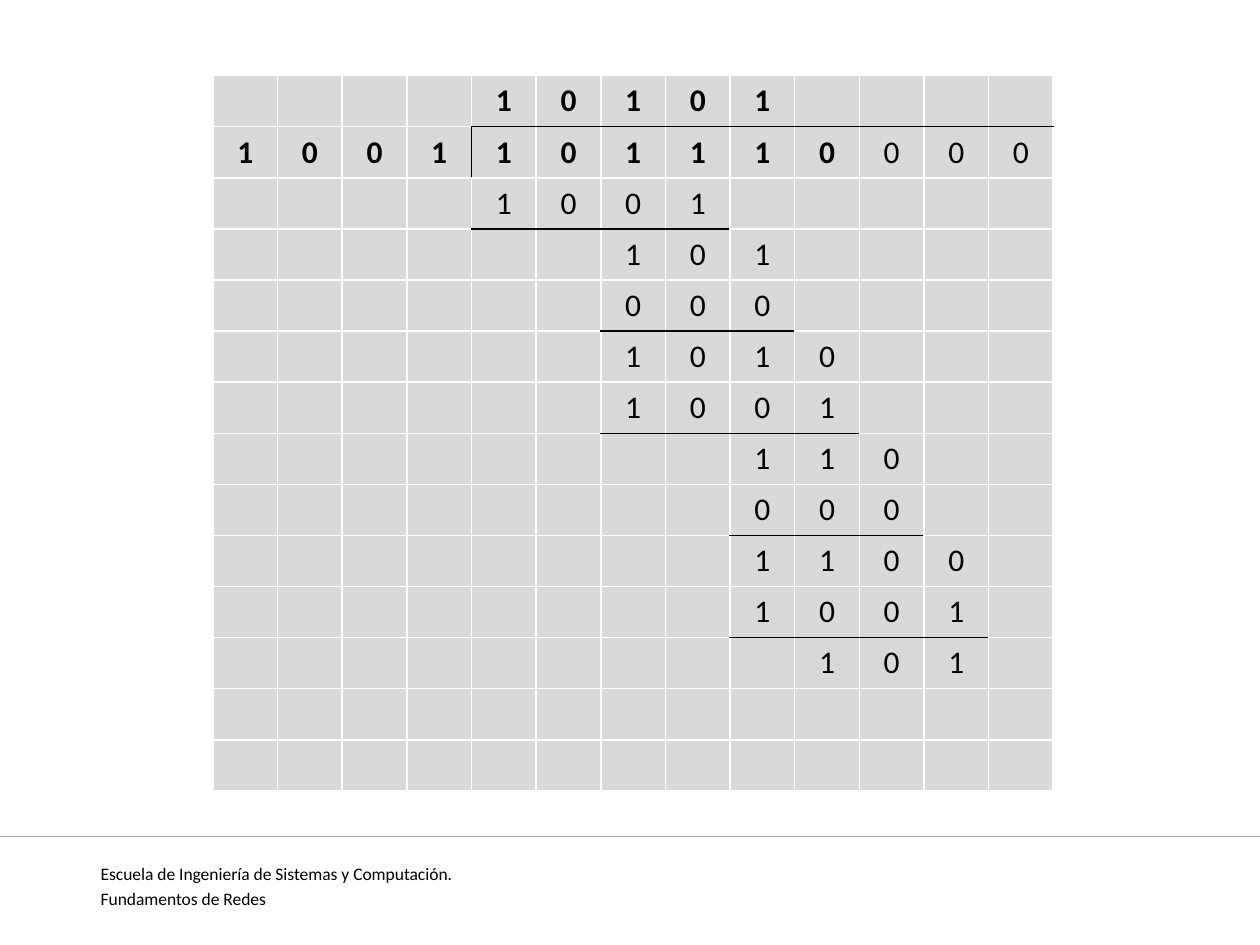
from typing import NamedTuple

from lxml.etree import SubElement
from pptx import Presentation
from pptx.dml.color import RGBColor
from pptx.enum.shapes import MSO_CONNECTOR
from pptx.enum.text import PP_ALIGN
from pptx.oxml.ns import qn
from pptx.util import Inches, Pt

FONT = "Calibri"
BLACK, WHITE, CELL_GRAY, LINE_GRAY = "000000", "FFFFFF", "D9D9D9", "AEAEAE"
ROWS, COLUMNS = 14, 13
DIVIDEND_COLUMN = 4
FOOTER = ("Escuela de Ingeniería de Sistemas y Computación.", "Fundamentos de Redes")


class Digits(NamedTuple):
    """One row of the division; an underline covers columns first to last."""
    start: int
    bits: str
    bold_count: int = 0
    underline: tuple[int, int] | None = None


DIVISION = [
    Digits(4, "10101", 5, (4, 12)),
    Digits(0, "1001101110000", 10),
    Digits(4, "1001", underline=(4, 7)),
    Digits(6, "101"),
    Digits(6, "000", underline=(6, 8)),
    Digits(6, "1010"),
    Digits(6, "1001", underline=(6, 9)),
    Digits(8, "110"),
    Digits(8, "000", underline=(8, 10)),
    Digits(8, "1100"),
    Digits(8, "1001", underline=(8, 11)),
    Digits(9, "101"),
]


def rgb(color: str) -> RGBColor:
    return RGBColor.from_string(color)


def set_font(paragraph, size: float, bold: bool = False) -> None:
    paragraph.font.name = FONT
    paragraph.font.size = Pt(size)
    paragraph.font.bold = bold
    paragraph.font.color.rgb = rgb(BLACK)


def is_underlined(row: int, column: int) -> bool:
    if not 0 <= row < len(DIVISION) or DIVISION[row].underline is None:
        return False
    first, last = DIVISION[row].underline
    return first <= column <= last


def border_colors(row: int, column: int) -> dict[str, str]:
    """Black for the division bracket and underlines, white elsewhere."""
    black_sides = {
        "L": row == 1 and column == DIVIDEND_COLUMN,
        "R": row == 1 and column == DIVIDEND_COLUMN - 1,
        "T": is_underlined(row - 1, column),
        "B": is_underlined(row, column),
    }
    return {side: BLACK if black else WHITE for side, black in black_sides.items()}


def format_cell(cell, colors: dict[str, str]) -> None:
    properties = cell._tc.get_or_add_tcPr()
    for side, color in colors.items():
        border = SubElement(properties, qn(f"a:ln{side}"), w=str(Pt(1)))
        fill = SubElement(border, qn("a:solidFill"))
        SubElement(fill, qn("a:srgbClr"), val=color)
    cell.fill.solid()
    cell.fill.fore_color.rgb = rgb(CELL_GRAY)


def add_division(slide) -> None:
    table = slide.shapes.add_table(
        ROWS, COLUMNS, Inches(1.69), Inches(0.6), Inches(6.67), Inches(5.68)
    ).table
    table.first_row = False
    table.horz_banding = False

    for row in range(ROWS):
        for column in range(COLUMNS):
            cell = table.cell(row, column)
            format_cell(cell, border_colors(row, column))
            set_font(cell.text_frame.paragraphs[0], 18)

    for row, digits in enumerate(DIVISION):
        for index, bit in enumerate(digits.bits):
            paragraph = table.cell(row, digits.start + index).text_frame.paragraphs[0]
            paragraph.text = bit
            paragraph.alignment = PP_ALIGN.CENTER
            set_font(paragraph, 18, index < digits.bold_count)


def add_footer(slide) -> None:
    rule = slide.shapes.add_connector(
        MSO_CONNECTOR.STRAIGHT, Inches(0), Inches(6.64), Inches(10), Inches(6.64)
    )
    rule.line.color.rgb = rgb(LINE_GRAY)
    rule.line.width = Pt(0.75)
    SubElement(rule._element.spPr, qn("a:effectLst"))

    frame = slide.shapes.add_textbox(
        Inches(0.7), Inches(6.8), Inches(8.98), Inches(0.39)
    ).text_frame
    frame.word_wrap = True
    for index, line in enumerate(FOOTER):
        paragraph = frame.add_paragraph() if index else frame.paragraphs[0]
        paragraph.text = line
        paragraph.alignment = PP_ALIGN.JUSTIFY
        paragraph.space_before = Pt(2 if index else 0)
        set_font(paragraph, 10)


def main() -> None:
    presentation = Presentation()
    presentation.slide_width = Inches(10)
    presentation.slide_height = Inches(7.5)
    slide = presentation.slides.add_slide(presentation.slide_layouts[6])

    # Footer rule and course name
    add_footer(slide)
    # Binary long division
    add_division(slide)

    presentation.save("out.pptx")


if __name__ == "__main__":
    main()
